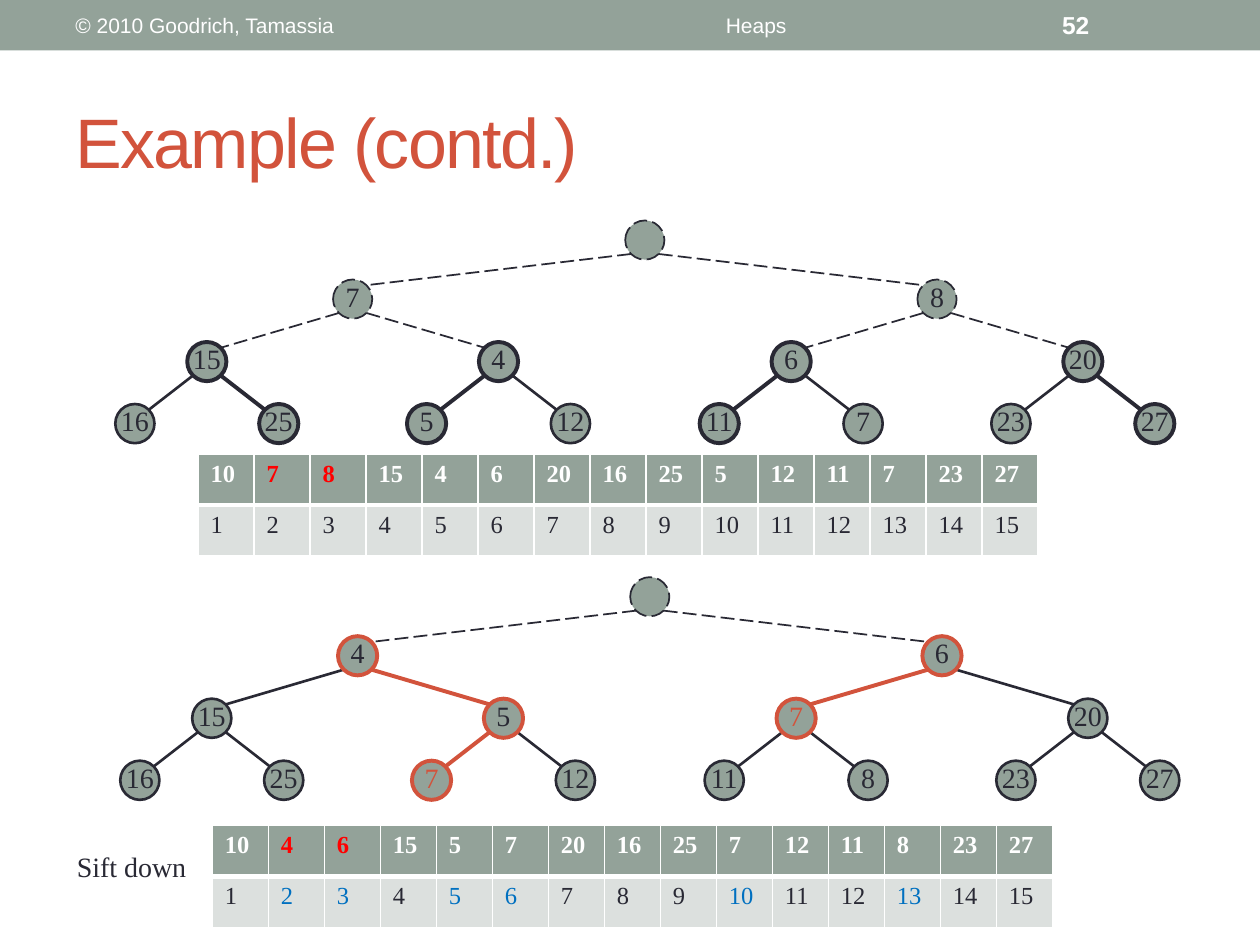
from collections import namedtuple

from lxml.etree import SubElement
from pptx import Presentation
from pptx.dml.color import RGBColor
from pptx.enum.dml import MSO_LINE
from pptx.enum.shapes import MSO_CONNECTOR, MSO_SHAPE
from pptx.enum.text import MSO_ANCHOR, PP_ALIGN
from pptx.oxml.ns import qn
from pptx.util import Cm, Pt

SAGE = RGBColor(0x93, 0xA2, 0x99)
PALE = RGBColor(0xDC, 0xE0, 0xDE)
INK = RGBColor(0x29, 0x29, 0x34)
RUST = RGBColor(0xD2, 0x53, 0x3C)
RED = RGBColor(0xFF, 0x00, 0x00)
BLUE = RGBColor(0x00, 0x70, 0xC0)
WHITE = RGBColor(0xFF, 0xFF, 0xFF)

SANS, SERIF = "Arial", "Times New Roman"

Pen = namedtuple("Pen", "color width dash")
DASHED = Pen(INK, 1, MSO_LINE.LONG_DASH)
THIN = Pen(INK, 1.5, None)
THICK = Pen(INK, 2.25, None)
PATH = Pen(RUST, 2.25, None)

# Tree geometry in centimetres
LEVEL_DROPS = (0, 1.19, 2.45, 3.7)
CHILD_OFFSETS = (5.89, 2.94, 1.45)
NODE_SIZE = 0.79
EDGE_INSET = 0.28  # from node centre to the diagonal point on its rim

COLUMN_WIDTH, ROW_HEIGHT = 1.13, 1.03


def pens_for(groups):
    """Turn {pen: positions} into {position: pen}."""
    return {position: pen for pen, positions in groups.items() for position in positions}


class HeapPage:
    def __init__(self, deck):
        self.page = deck.slides.add_slide(deck.slide_layouts[5])

    def style(self, paragraph, size, color, face=SERIF, bold=False):
        font = paragraph.font
        font.name, font.size, font.bold = face, Pt(size), bold
        font.color.rgb = color

    def apply_pen(self, line, pen):
        line.color.rgb = pen.color
        line.width = Pt(pen.width)
        if pen.dash:
            line.dash_style = pen.dash

    def band(self, height):
        band = self.page.shapes.add_shape(MSO_SHAPE.RECTANGLE, 0, 0, Cm(25.4), Cm(height))
        band.shadow.inherit = False
        band.fill.solid()
        band.fill.fore_color.rgb = SAGE
        band.line.fill.background()

    def title(self, text):
        title = self.page.shapes.title
        title.left, title.top, title.width, title.height = Cm(1.27), Cm(1.47), Cm(22.86), Cm(2.74)
        title.text_frame.text = text
        title.text_frame.vertical_anchor = MSO_ANCHOR.MIDDLE
        paragraph = title.text_frame.paragraphs[0]
        paragraph.alignment = PP_ALIGN.LEFT
        self.style(paragraph, 40, RUST, SANS)
        paragraph.runs[0].font._element.set("spc", "-100")

    def text(self, text, left, top, width, height, size, color,
             face=SANS, bold=False, align=PP_ALIGN.LEFT):
        box = self.page.shapes.add_textbox(Cm(left), Cm(top), Cm(width), Cm(height))
        frame = box.text_frame
        frame.word_wrap = True
        frame.vertical_anchor = MSO_ANCHOR.MIDDLE
        frame.text = text
        frame.paragraphs[0].alignment = align
        self.style(frame.paragraphs[0], size, color, face, bold)

    def node(self, label, center, pen, color):
        x, y = center
        node = self.page.shapes.add_shape(
            MSO_SHAPE.OVAL, Cm(x - NODE_SIZE / 2), Cm(y - NODE_SIZE / 2),
            Cm(NODE_SIZE), Cm(NODE_SIZE))
        node.shadow.inherit = False
        node.fill.solid()
        node.fill.fore_color.rgb = SAGE
        self.apply_pen(node.line, pen)
        if not label:
            return
        frame = node.text_frame
        frame.margin_left = frame.margin_top = frame.margin_right = 0
        frame.margin_bottom = Cm(0.13)
        frame.word_wrap = False
        frame.vertical_anchor = MSO_ANCHOR.MIDDLE
        frame.text = label
        frame.paragraphs[0].alignment = PP_ALIGN.CENTER
        self.style(frame.paragraphs[0], 16, color)

    def edge(self, parent, child, pen):
        side = EDGE_INSET if child[0] > parent[0] else -EDGE_INSET
        edge = self.page.shapes.add_connector(
            MSO_CONNECTOR.STRAIGHT,
            Cm(parent[0] + side), Cm(parent[1] + EDGE_INSET),
            Cm(child[0] - side), Cm(child[1] - EDGE_INSET))
        SubElement(edge._element.spPr, qn("a:effectLst"))
        self.apply_pen(edge.line, pen)

    def tree(self, values, root, node_pens, edge_pens, rust_labels=()):
        """Draw a heap; node n has children 2n and 2n + 1, and the root stays blank."""
        centers = {1: root}
        for position in range(2, len(values) + 1):
            level = position.bit_length() - 1
            offset = CHILD_OFFSETS[level - 1] * (1 if position % 2 else -1)
            center = centers[position // 2][0] + offset, root[1] + LEVEL_DROPS[level]
            centers[position] = center
            self.edge(centers[position // 2], center, edge_pens.get(position, THIN))
        for position, center in centers.items():
            label = "" if position == 1 else str(values[position - 1])
            color = RUST if position in rust_labels else INK
            self.node(label, center, node_pens.get(position, THIN), color)

    def borders(self, cell, widths):
        properties = cell._tc.get_or_add_tcPr()
        for side, width in zip("LRTB", widths):
            line = SubElement(properties, qn(f"a:ln{side}"), w=str(Pt(width)))
            fill = SubElement(line, qn("a:solidFill"))
            SubElement(fill, qn("a:srgbClr"), val=str(WHITE))

    def cell(self, cell, value, fill, color, bold, widths):
        self.borders(cell, widths)
        cell.fill.solid()
        cell.fill.fore_color.rgb = fill
        cell.text = str(value)
        self.style(cell.text_frame.paragraphs[0], 14, color, bold=bold)

    def array(self, values, left, top, changed=()):
        """Draw the heap as an array, values above their positions."""
        count = len(values)
        table = self.page.shapes.add_table(
            2, count, Cm(left), Cm(top), Cm(count * COLUMN_WIDTH), Cm(2 * ROW_HEIGHT)).table
        for row in table.rows:
            row.height = Cm(ROW_HEIGHT)
        for position, value in enumerate(values, 1):
            column = position - 1
            table.columns[column].width = Cm(COLUMN_WIDTH)
            self.cell(table.cell(0, column), value, SAGE,
                      RED if position in (2, 3) else WHITE, True, (1, 1, 1, 3))
            self.cell(table.cell(1, column), position, PALE,
                      BLUE if position in changed else INK, False, (1, 1, 3, 1))


def main():
    deck = Presentation()
    deck.slide_width, deck.slide_height = Cm(25.4), Cm(19.05)
    heap_page = HeapPage(deck)

    heap_page.band(1.02)
    heap_page.text("© 2010 Goodrich, Tamassia", 1.27, 0.05, 8.05, 0.91, 12, WHITE)
    heap_page.text("Heaps", 9.53, 0.05, 11.43, 0.91, 12, WHITE, align=PP_ALIGN.CENTER)
    heap_page.text("52", 21.16, 0.05, 2.97, 0.91, 14, WHITE, bold=True)
    heap_page.title("Example (contd.)")

    before = [10, 7, 8, 15, 4, 6, 20, 16, 25, 5, 12, 11, 7, 23, 27]
    heap_page.tree(
        before, (13.0, 4.84),
        node_pens=pens_for({DASHED: (1, 2, 3), THICK: (4, 5, 6, 7, 9, 10, 12, 15)}),
        edge_pens=pens_for({DASHED: range(2, 8), THICK: (9, 10, 12, 15)}))
    heap_page.array(before, 3.99, 9.15)

    after = [10, 4, 6, 15, 5, 7, 20, 16, 25, 7, 12, 11, 8, 23, 27]
    heap_page.tree(
        after, (13.1, 12.03),
        node_pens=pens_for({DASHED: (1,), PATH: (2, 3, 5, 6, 10)}),
        edge_pens=pens_for({DASHED: (2, 3), PATH: (5, 6, 10)}),
        rust_labels=(6, 10))
    heap_page.array(after, 4.28, 16.64, changed=(2, 3, 5, 6, 10, 13))
    heap_page.text("Sift down", 1.3, 16.99, 2.9, 0.94, 16, INK, SERIF)

    deck.save("out.pptx")


if __name__ == "__main__":
    main()
